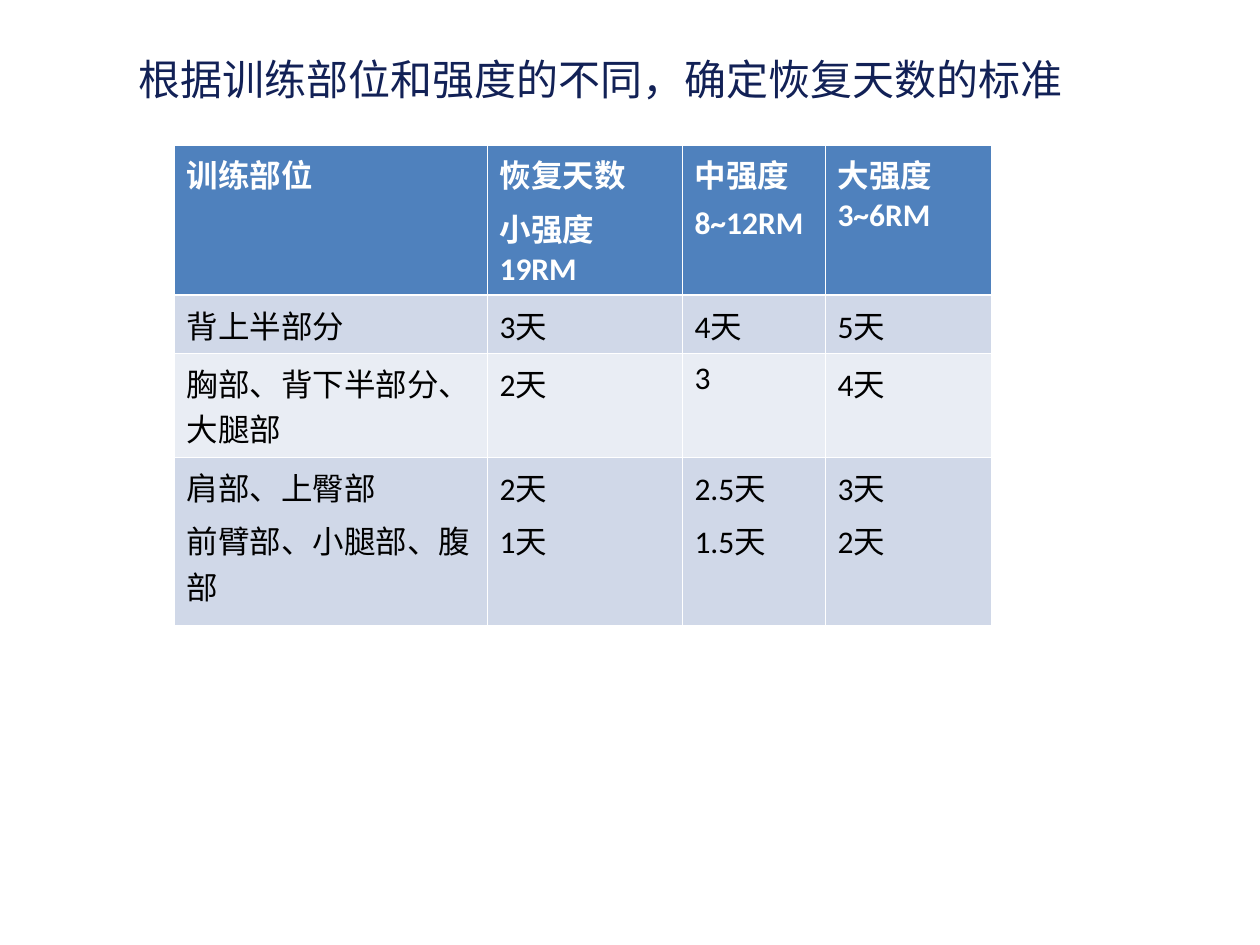
from lxml.etree import SubElement
from pptx import Presentation
from pptx.dml.color import RGBColor
from pptx.enum.text import MSO_ANCHOR, PP_ALIGN
from pptx.oxml.ns import qn
from pptx.util import Pt

PX = 914400 // 126
NAVY = RGBColor(0x12, 0x21, 0x56)
BLUE = RGBColor(0x4F, 0x81, 0xBD)
BAND_DARK = RGBColor(0xD0, 0xD8, 0xE8)
BAND_LIGHT = RGBColor(0xE9, 0xED, 0xF4)
WHITE = RGBColor(0xFF, 0xFF, 0xFF)
BLACK = RGBColor(0, 0, 0)
CJK_FONT = "Noto Sans CJK SC"


def format_run(run, color, **values):
    for name, value in values.items():
        setattr(run.font, name, value)
    run.font.color.rgb = color
    SubElement(run.font._element, qn("a:ea"), typeface=CJK_FONT)


def add_border(cell, side, width):
    line = SubElement(cell._tc.get_or_add_tcPr(), qn(f"a:{side}"), w=str(Pt(width)))
    fill = SubElement(line, qn("a:solidFill"))
    SubElement(fill, qn("a:srgbClr"), val=str(WHITE))


prs = Presentation()
prs.slide_width, prs.slide_height = 1260 * PX, 945 * PX
slide = prs.slides.add_slide(prs.slide_layouts[5])
slide.background.fill.solid()
slide.background.fill.fore_color.rgb = WHITE

# Title with a soft text shadow
title = slide.shapes.title
title.left, title.top, title.width, title.height = (v * PX for v in (15, 45, 1171, 67))
title.text_frame.vertical_anchor = MSO_ANCHOR.MIDDLE
heading = title.text_frame.paragraphs[0]
heading.alignment = PP_ALIGN.CENTER
heading_run = heading.add_run()
heading_run.text = "根据训练部位和强度的不同，确定恢复天数的标准"
format_run(heading_run, NAVY, size=Pt(24), name=CJK_FONT)
effects = heading_run.font._element.makeelement(qn("a:effectLst"), {})
heading_run.font._element.find(qn("a:solidFill")).addnext(effects)
shadow = SubElement(effects, qn("a:outerShdw"), dist="19050", dir="2700000")
SubElement(shadow, qn("a:srgbClr"), val="000000")

# Recovery days by body part and intensity; a line break starts a paragraph
recovery_rows = [
    ("训练部位", "恢复天数\n小强度19RM", "中强度\n8~12RM", "大强度3~6RM"),
    ("背上半部分", "3天", "4天", "5天"),
    ("胸部、背下半部分、大腿部", "2天", "3", "4天"),
    ("肩部、上臀部\n前臂部、小腿部、腹部", "2天\n1天", "2.5天\n1.5天", "3天\n2天"),
]
column_widths = (313, 195, 143, 167)
row_heights = (135, 51, 92, 168)
recovery = slide.shapes.add_table(
    len(row_heights), len(column_widths), 174 * PX, 145 * PX,
    sum(column_widths) * PX, sum(row_heights) * PX).table
for column, width in zip(recovery.columns, column_widths):
    column.width = width * PX

for r, (row, height) in enumerate(zip(recovery.rows, row_heights)):
    row.height = height * PX
    header = r == 0
    band = BLUE if header else BAND_DARK if r % 2 else BAND_LIGHT
    for cell, text in zip(row.cells, recovery_rows[r]):
        for side in ("lnL", "lnR", "lnT", "lnB"):
            under_header = (r, side) in ((0, "lnB"), (1, "lnT"))
            add_border(cell, side, 1.5 if under_header else 0.5)
        cell.fill.solid()
        cell.fill.fore_color.rgb = band
        cell.text = text
        for i, paragraph in enumerate(cell.text_frame.paragraphs):
            if i:
                paragraph.space_before = Pt(4.5)
            for run in paragraph.runs:
                format_run(run, WHITE if header else BLACK,
                           size=Pt(18), name="Calibri", bold=header)

prs.save("out.pptx")
